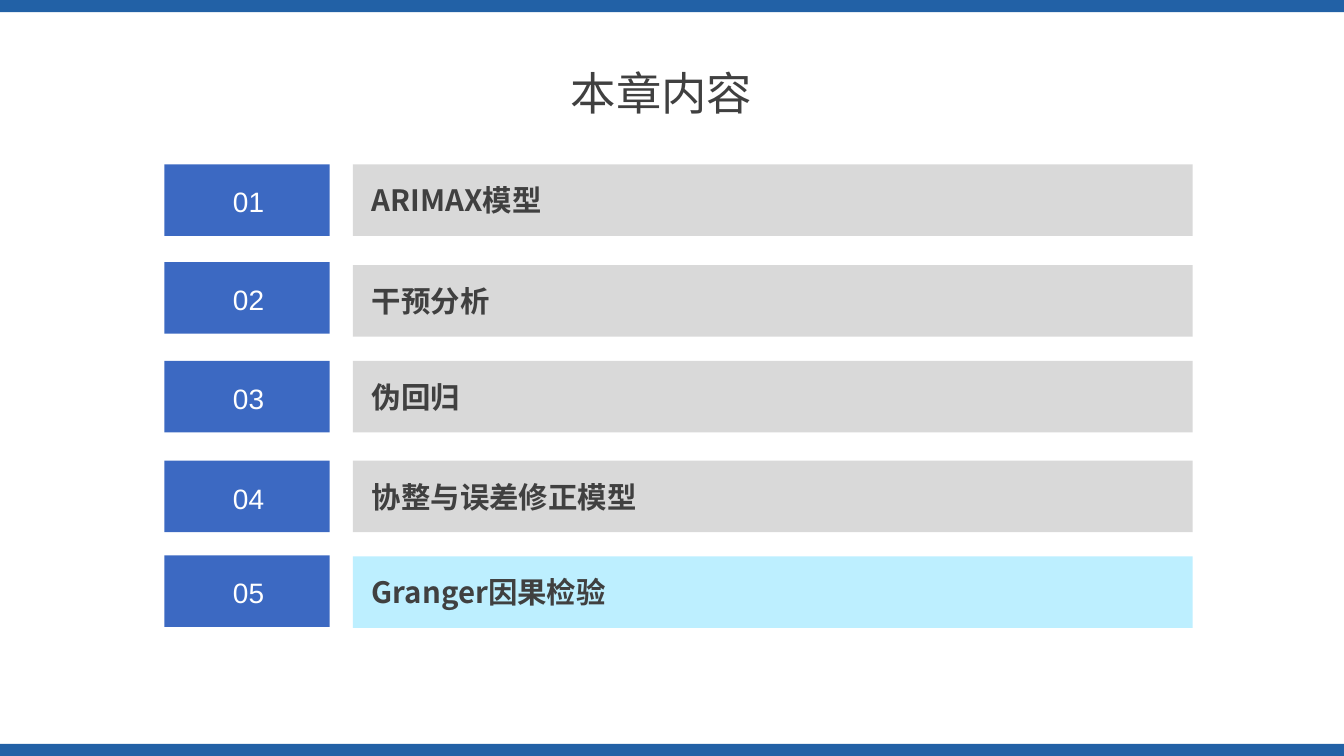
from pptx import Presentation
from pptx.dml.color import RGBColor
from pptx.enum.shapes import MSO_SHAPE as SHAPE
from pptx.enum.text import MSO_ANCHOR as ANCHOR, PP_ALIGN as ALIGN
from pptx.oxml.ns import qn
from pptx.util import Inches, Pt

# Content: number, topic, top of number box, top of topic bar
TITLE = "本章内容"
TOPICS = [
    ("01", "ARIMAX模型", 1.63, 1.63),
    ("02", "干预分析", 2.60, 2.63),
    ("03", "伪回归", 3.58, 3.58),
    ("04", "协整与误差修正模型", 4.57, 4.57),
    ("05", "Granger因果检验", 5.51, 5.52),
]
CURRENT = "05"

# Look
EDGE = RGBColor(0x22, 0x61, 0xA6)
BLUE = RGBColor(0x3C, 0x69, 0xC2)
GREY = RGBColor(0xD9, 0xD9, 0xD9)
CYAN = RGBColor(0xBD, 0xEF, 0xFF)
DARK = RGBColor(0x40, 0x40, 0x40)
WHITE = RGBColor(0xFF, 0xFF, 0xFF)
HAN = "Noto Sans CJK SC"
WIDE, HIGH, EDGE_H, ROW_H = 13.33, 7.5, 0.12, 0.71

deck = Presentation()
deck.slide_width, deck.slide_height = Inches(WIDE), Inches(HIGH)
slide = deck.slides.add_slide(deck.slide_layouts[5])


def add_rect(x, y, w, h, color):
    rect = slide.shapes.add_shape(
        SHAPE.RECTANGLE, Inches(x), Inches(y), Inches(w), Inches(h))
    rect.shadow.inherit = False
    rect.fill.solid()
    rect.fill.fore_color.rgb = color
    rect.line.fill.background()


def set_text(shape, text, size, font, color, bold=False, wrap=True,
             align=ALIGN.LEFT):
    frame = shape.text_frame
    frame.text = text
    frame.word_wrap = wrap
    frame.vertical_anchor = ANCHOR.MIDDLE
    para = frame.paragraphs[0]
    para.alignment = align
    style = para.runs[0].font
    style.size, style.name, style.bold = Pt(size), font, bold
    style.color.rgb = color
    # East Asian typeface
    han = style._element.makeelement(qn("a:ea"), {"typeface": font})
    style._element.find(qn("a:latin")).addnext(han)


def add_label(x, y, w, h, *args, **kwargs):
    box = slide.shapes.add_textbox(Inches(x), Inches(y), Inches(w), Inches(h))
    set_text(box, *args, **kwargs)


# Edge bands
for top in (0, HIGH - EDGE_H):
    add_rect(0, top, WIDE, EDGE_H, EDGE)

# Title
title = slide.shapes.title
title.left, title.top = Inches(5.56), Inches(0.56)
title.width, title.height = Inches(2.22), Inches(0.71)
set_text(title, TITLE, 32.4, HAN, DARK)

# Topic rows
for num, topic, num_top, bar_top in TOPICS:
    add_rect(1.63, num_top, 1.64, ROW_H, BLUE)
    add_rect(3.5, bar_top, 8.33, ROW_H, CYAN if num == CURRENT else GREY)
    add_label(2.21, num_top + 0.15, 0.51, 0.44, num, 20, "Arial", WHITE,
              wrap=False, align=ALIGN.CENTER)
    add_label(3.59, bar_top + 0.17, 5.65, 0.37, topic, 21, HAN, DARK,
              bold=True)

deck.save("out.pptx")
